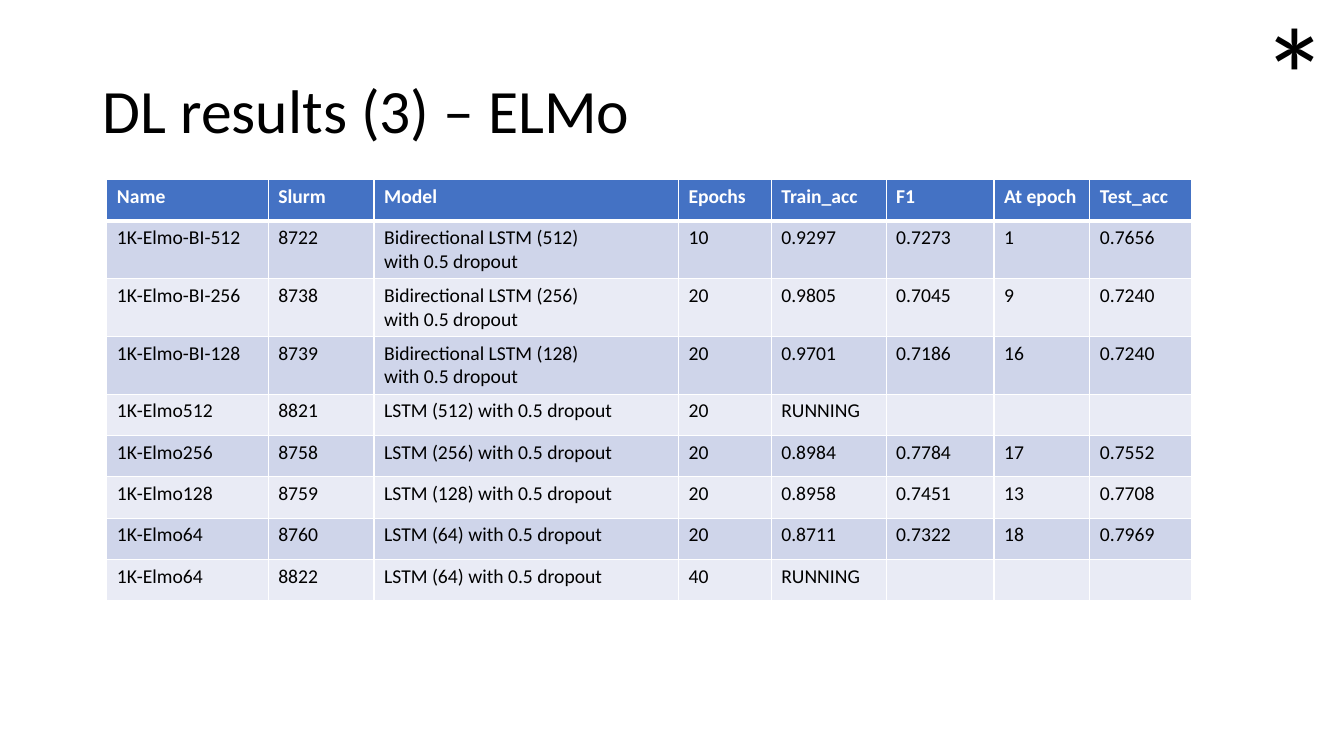
from dataclasses import dataclass

from lxml.etree import SubElement
from pptx import Presentation
from pptx.dml.color import RGBColor
from pptx.enum.text import MSO_ANCHOR, MSO_AUTO_SIZE, PP_ALIGN
from pptx.oxml.ns import qn
from pptx.slide import Slide
from pptx.table import _Cell
from pptx.text.text import TextFrame
from pptx.util import Inches, Pt


@dataclass(frozen=True)
class Theme:
    font: str = "Calibri"
    text: str = "000000"
    header_text: str = "FFFFFF"
    header_fill: str = "4472C4"
    bands: tuple[str, str] = ("CFD5EA", "E9EBF5")
    border: str = "FFFFFF"
    title_size: int = 44
    table_size: int = 14
    asterisk_size: int = 96


@dataclass(frozen=True)
class Column:
    heading: str
    width: float


@dataclass(frozen=True)
class Run:
    name: str
    slurm: str
    model: str
    epochs: str
    train_acc: str
    f1: str = ""
    at_epoch: str = ""
    test_acc: str = ""

    def values(self) -> tuple[str, ...]:
        return (self.name, self.slurm, self.model, self.epochs,
                self.train_acc, self.f1, self.at_epoch, self.test_acc)


THEME = Theme()
ROW_HEIGHT = 0.41

COLUMNS = [
    Column("Name", 1.6),
    Column("Slurm", 1.05),
    Column("Model", 3.02),
    Column("Epochs", 0.92),
    Column("Train_acc", 1.14),
    Column("F1", 1.07),
    Column("At epoch", 0.95),
    Column("Test_acc", 1.01),
]


def lstm(units: int) -> str:
    return f"LSTM ({units}) with 0.5 dropout"


def bidirectional(units: int) -> str:
    return f"Bidirectional LSTM ({units})\nwith 0.5 dropout"


RUNS = [
    Run("1K-Elmo-BI-512", "8722", bidirectional(512), "10", "0.9297", "0.7273", "1", "0.7656"),
    Run("1K-Elmo-BI-256", "8738", bidirectional(256), "20", "0.9805", "0.7045", "9", "0.7240"),
    Run("1K-Elmo-BI-128", "8739", bidirectional(128), "20", "0.9701", "0.7186", "16", "0.7240"),
    Run("1K-Elmo512", "8821", lstm(512), "20", "RUNNING"),
    Run("1K-Elmo256", "8758", lstm(256), "20", "0.8984", "0.7784", "17", "0.7552"),
    Run("1K-Elmo128", "8759", lstm(128), "20", "0.8958", "0.7451", "13", "0.7708"),
    Run("1K-Elmo64", "8760", lstm(64), "20", "0.8711", "0.7322", "18", "0.7969"),
    Run("1K-Elmo64", "8822", lstm(64), "40", "RUNNING"),
]


def write_text(frame: TextFrame, text: str, *, size: int, color: str = THEME.text,
               bold: bool = False, line_spacing: float = 1.0) -> None:
    frame.text = text
    for paragraph in frame.paragraphs:
        paragraph.alignment = PP_ALIGN.LEFT
        paragraph.line_spacing = line_spacing
        paragraph.font.name = THEME.font
        paragraph.font.size = Pt(size)
        paragraph.font.bold = bold
        paragraph.font.color.rgb = RGBColor.from_string(color)


def add_borders(cell: _Cell, *, top: int = 1, bottom: int = 1) -> None:
    properties = cell._tc.get_or_add_tcPr()
    for tag, width in (("a:lnL", 1), ("a:lnR", 1), ("a:lnT", top), ("a:lnB", bottom)):
        line = SubElement(properties, qn(tag), w=str(Pt(width)))
        SubElement(SubElement(line, qn("a:solidFill")), qn("a:srgbClr"), val=THEME.border)


def add_title(slide: Slide) -> None:
    title = slide.shapes.title
    title.left, title.top = Inches(0.92), Inches(0.4)
    title.width, title.height = Inches(11.5), Inches(1.45)
    title.text_frame.vertical_anchor = MSO_ANCHOR.MIDDLE
    write_text(title.text_frame, "DL results (3) – ELMo",
               size=THEME.title_size, line_spacing=0.9)


def add_results(slide: Slide) -> None:
    rows = [tuple(column.heading for column in COLUMNS), *(run.values() for run in RUNS)]
    results = slide.shapes.add_table(
        len(rows), len(COLUMNS), Inches(1.06), Inches(1.78),
        Inches(sum(column.width for column in COLUMNS)), Inches(ROW_HEIGHT * len(rows)),
    ).table
    for grid_column, column in zip(results.columns, COLUMNS):
        grid_column.width = Inches(column.width)
    for row_index, values in enumerate(rows):
        results.rows[row_index].height = Inches(ROW_HEIGHT)
        is_header = row_index == 0
        fill = THEME.header_fill if is_header else THEME.bands[(row_index - 1) % 2]
        for column_index, value in enumerate(values):
            cell = results.cell(row_index, column_index)
            add_borders(cell, top=3 if row_index == 1 else 1, bottom=3 if is_header else 1)
            cell.fill.solid()
            cell.fill.fore_color.rgb = RGBColor.from_string(fill)
            write_text(cell.text_frame, value, size=THEME.table_size, bold=is_header,
                       color=THEME.header_text if is_header else THEME.text)


def add_asterisk(slide: Slide) -> None:
    asterisk = slide.shapes.add_textbox(Inches(12.41), Inches(-0.15), Inches(0.87), Inches(1.72))
    asterisk.text_frame.word_wrap = False
    asterisk.text_frame.auto_size = MSO_AUTO_SIZE.SHAPE_TO_FIT_TEXT
    write_text(asterisk.text_frame, "*", size=THEME.asterisk_size)


def main() -> None:
    presentation = Presentation()
    presentation.slide_width, presentation.slide_height = Inches(13.33), Inches(7.5)
    slide = presentation.slides.add_slide(presentation.slide_layouts.get_by_name("Title Only"))
    add_title(slide)
    add_results(slide)
    add_asterisk(slide)
    presentation.save("out.pptx")


if __name__ == "__main__":
    main()
